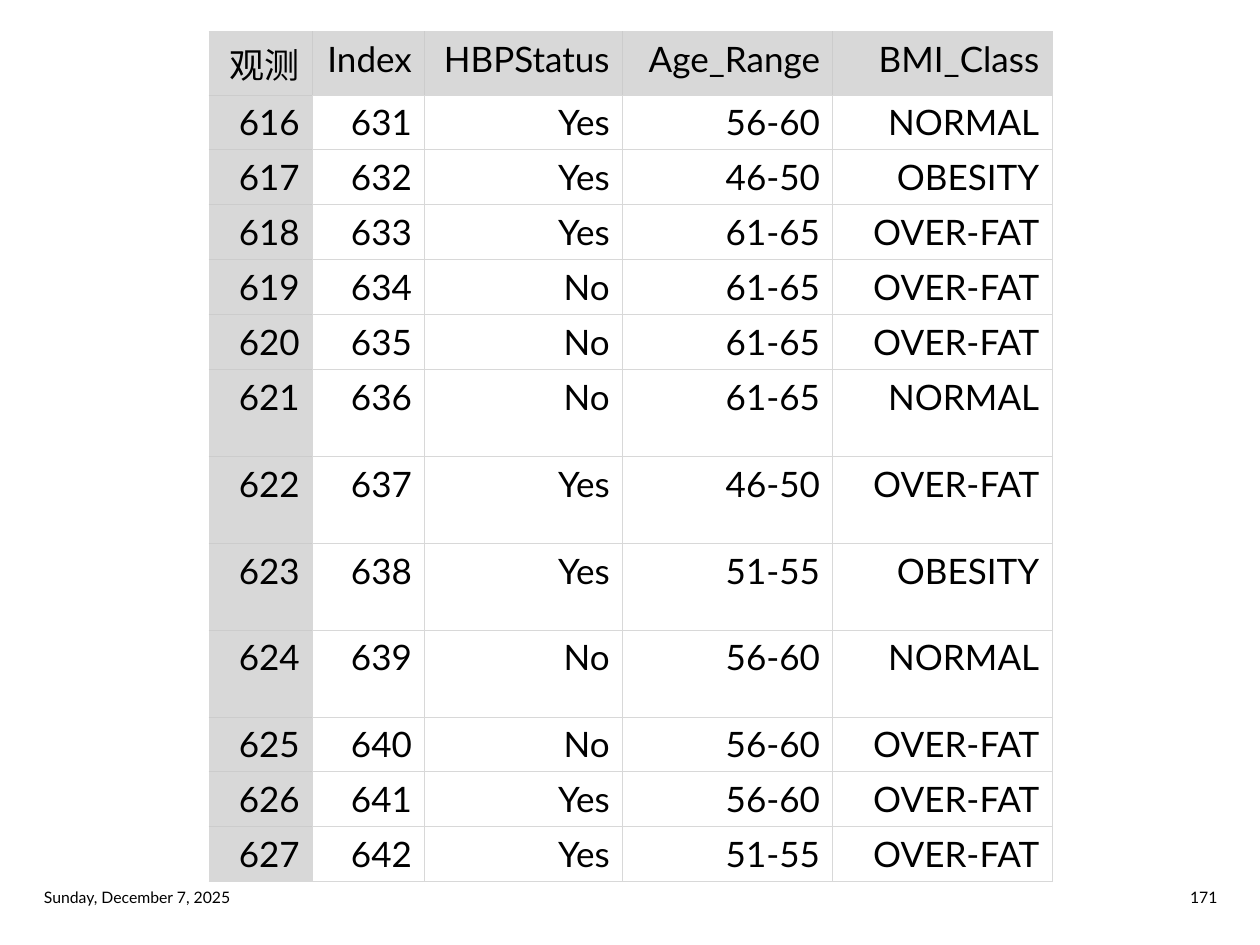
from lxml import etree
from pptx import Presentation
from pptx.dml.color import RGBColor
from pptx.enum.text import MSO_ANCHOR, PP_ALIGN
from pptx.oxml.ns import qn
from pptx.util import Inches, Pt

LEFT, RIGHT = PP_ALIGN.LEFT, PP_ALIGN.RIGHT
MIDDLE = MSO_ANCHOR.MIDDLE
BLACK = RGBColor(0x00, 0x00, 0x00)
SHADE = RGBColor(0xD8, 0xD8, 0xD8)
INNER_EDGE = RGBColor(0xCC, 0xCC, 0xCC)

TABLE_FONT = {"name": "Lato", "size": Pt(20), "bold": False}
FOOTER_FONT = {"name": "Lato", "size": Pt(9)}

HEADINGS = ("观测", "Index", "HBPStatus", "Age_Range", "BMI_Class")
FIRST_OBSERVATION, FIRST_INDEX = 616, 631
RECORDS = (
    ("Yes", "56-60", "NORMAL"),
    ("Yes", "46-50", "OBESITY"),
    ("Yes", "61-65", "OVER-FAT"),
    ("No", "61-65", "OVER-FAT"),
    ("No", "61-65", "OVER-FAT"),
    ("No", "61-65", "NORMAL"),
    ("Yes", "46-50", "OVER-FAT"),
    ("Yes", "51-55", "OBESITY"),
    ("No", "56-60", "NORMAL"),
    ("No", "56-60", "OVER-FAT"),
    ("Yes", "56-60", "OVER-FAT"),
    ("Yes", "51-55", "OVER-FAT"),
)
COLUMN_WIDTHS = (0.82, 0.89, 1.57, 1.67, 1.74)
ROW_HEIGHT, TALL_HEIGHT = 0.42, 0.69
TALL_ROWS = range(6, 10)


def write_text(frame, text, font_format, alignment):
    para = frame.paragraphs[0]
    para.alignment = alignment
    span = para.add_run()
    span.text = text
    for name, value in font_format.items():
        setattr(span.font, name, value)
    span.font.color.rgb = BLACK


def set_borders(cell, colors):
    """Draw the four edges; colors are in left, right, top, bottom order."""
    properties = cell._tc.get_or_add_tcPr()
    for position, (side, color) in enumerate(zip("LRTB", colors)):
        line = etree.Element(qn(f"a:ln{side}"), w=str(Pt(0.5)))
        fill = etree.SubElement(line, qn("a:solidFill"))
        etree.SubElement(fill, qn("a:srgbClr"), val=str(color))
        properties.insert(position, line)


def add_observations(page, left, top, width, height):
    rows = [HEADINGS] + [
        (str(FIRST_OBSERVATION + number), str(FIRST_INDEX + number), *record)
        for number, record in enumerate(RECORDS)
    ]
    last_row, last_column = len(rows) - 1, len(HEADINGS) - 1
    table = page.shapes.add_table(
        len(rows), len(HEADINGS), left, top, width, height).table
    table.first_row = table.horz_banding = False

    # Column widths and row heights
    for column, column_width in zip(table.columns, COLUMN_WIDTHS):
        column.width = Inches(column_width)
    for number, row in enumerate(table.rows):
        row.height = Inches(TALL_HEIGHT if number in TALL_ROWS else ROW_HEIGHT)

    # Cells: the header row and the first column are shaded
    for r, values in enumerate(rows):
        for c, value in enumerate(values):
            cell = table.cell(r, c)
            write_text(cell.text_frame, value, TABLE_FONT, RIGHT)
            if r == 0 or c == 0:
                cell.fill.solid()
                cell.fill.fore_color.rgb = SHADE
                on_outside = (c == 0, c == last_column, r == 0, r == last_row)
                colors = [SHADE if outer else INNER_EDGE for outer in on_outside]
            else:
                cell.fill.background()
                colors = [SHADE] * 4
            set_borders(cell, colors)


def add_footer_text(page, text, alignment, left, top, width, height):
    frame = page.shapes.add_textbox(left, top, width, height).text_frame
    frame.word_wrap = True
    frame.vertical_anchor = MIDDLE
    write_text(frame, text, FOOTER_FONT, alignment)


def main():
    deck = Presentation()
    deck.slide_width, deck.slide_height = Inches(10), Inches(7.5)
    page = deck.slides.add_slide(deck.slide_layouts[6])

    add_observations(page, Inches(1.66), Inches(0.25), Inches(6.69), Inches(6.53))

    # Date on the left, page number on the right
    footer = (("Sunday, December 7, 2025", LEFT, 0.25), ("171", RIGHT, 7.38))
    for text, alignment, left in footer:
        add_footer_text(page, text, alignment,
                        Inches(left), Inches(6.99), Inches(2.38), Inches(0.26))

    deck.save("out.pptx")


if __name__ == "__main__":
    main()
